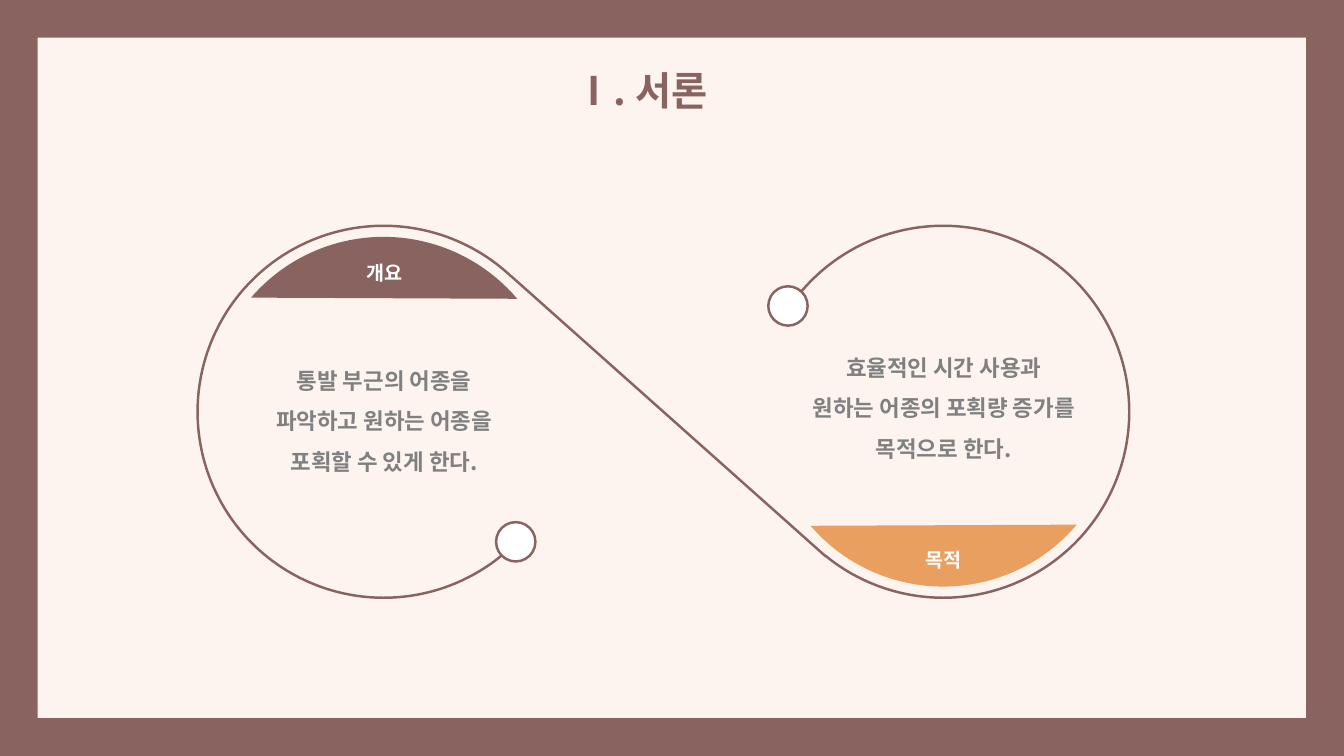
"""Build the introduction slide with its S-shaped overview and purpose diagram."""
import pptx
import pptx.dml.color
import pptx.enum.shapes
import pptx.enum.text
import pptx.oxml
import pptx.oxml.ns
import pptx.util

Inches = pptx.util.Inches
Pt = pptx.util.Pt
RGB = pptx.dml.color.RGBColor.from_string
MSO = pptx.enum.shapes.MSO_SHAPE
qn = pptx.oxml.ns.qn

THEME = {
    "font": "Noto Sans CJK KR", "line": 1.75,
    "brown": "896360", "orange": "E99F60", "cream": "FDF4EF", "white": "FFFFFF", "gray": "808080",
    "title": 28, "body": 16, "label": 14,
}


def add_shape(kind, box, fill=None, line=None, adj=(), flip=None):
    sp = s.shapes.add_shape(kind, *map(Inches, box))
    sp.shadow.inherit = False
    for i, value in enumerate(adj):
        sp.adjustments[i] = value
    for part, color in ((sp.fill, fill), (sp.line.fill, line)):
        if color:
            part.solid()
            part.fore_color.rgb = RGB(THEME[color])
        else:
            part.background()
    if line:
        sp.line.width = Pt(THEME["line"])
    if flip:
        sp._element.spPr.find(qn("a:xfrm")).set(flip, "1")


def write_text(sp, box, lines, size, color):
    for name, value in zip(("left", "top", "width", "height"), box):
        setattr(sp, name, Inches(value))
    tf = sp.text_frame
    tf.text = "\n".join(lines)
    frame_format = {
        "word_wrap": True,
        "auto_size": pptx.enum.text.MSO_AUTO_SIZE.NONE,
        "vertical_anchor": pptx.enum.text.MSO_ANCHOR.TOP,
    }
    paragraph_format = {
        "alignment": pptx.enum.text.PP_ALIGN.CENTER,
        "line_spacing": 1.5, "space_before": Pt(0), "space_after": Pt(0),
    }
    font_format = {"name": THEME["font"], "size": Pt(THEME[size]), "bold": True}
    for name, value in frame_format.items():
        setattr(tf, name, value)
    for p in tf.paragraphs:
        for name, value in paragraph_format.items():
            setattr(p, name, value)
        pPr = p._p.get_or_add_pPr()
        pPr.set("marL", "0")
        pPr.set("indent", "0")
        pPr.append(pptx.oxml.parse_xml(f"<a:buNone {pptx.oxml.ns.nsdecls('a')}/>"))
        r = p.runs[0]
        for name, value in font_format.items():
            setattr(r.font, name, value)
        r.font.color.rgb = RGB(THEME[color])
        ea = r._r.get_or_add_rPr().makeelement(qn("a:ea"), {"typeface": THEME["font"]})
        r._r.rPr.find(qn("a:latin")).addnext(ea)


prs = pptx.Presentation()
prs.slide_width, prs.slide_height = Inches(13.33), Inches(7.5)
s = prs.slides.add_slide(prs.slide_layouts[3])
s.background.fill.solid()
s.background.fill.fore_color.rgb = RGB(THEME["cream"])

add_shape(MSO.FRAME, (0, 0, 13.33, 7.5), fill="brown", adj=(0.05,))
write_text(s.shapes.title, (5.51, 0.37, 1.7, 0.72), ["Ⅰ. 서론"], "title", "brown")

for left, end, flip in ((1.96, 187.97, None), (7.51, 192.04, "flipH")):
    add_shape(MSO.ARC, (left, 2.24, 3.69, 3.69), line="brown", adj=(30.43, end), flip=flip)

link = s.shapes.add_connector(
    pptx.enum.shapes.MSO_CONNECTOR.STRAIGHT, *map(Inches, (5.07, 2.74, 8.19, 5.52)))
link.line.color.rgb = RGB(THEME["brown"])
link.line.width = Pt(THEME["line"])
link._element.spPr.append(pptx.oxml.parse_xml(f"<a:effectLst {pptx.oxml.ns.nsdecls('a')}/>"))

sections = [
    {"label": "개요", "left": 2.07, "label_top": 2.42, "fill": "brown", "flip": "flipV",
     "dot": (4.92, 5.18), "body": (2.25, 3.46),
     "lines": ["통발 부근의 어종을", "파악하고 원하는 어종을", "포획할 수 있게 한다."]},
    {"label": "목적", "left": 7.62, "label_top": 5.27, "fill": "orange", "flip": None,
     "dot": (7.62, 2.84), "body": (7.8, 3.33),
     "lines": ["효율적인 시간 사용과", "원하는 어종의 포획량 증가를", "목적으로 한다."]},
]
for idx, section in enumerate(sections, 1):
    add_shape(MSO.CHORD, (section["left"], 2.35, 3.47, 3.47), fill=section["fill"],
              adj=(24.13, 83.57), flip=section["flip"])
    label_box = (section["left"] + 1, section["label_top"], 1.48, 0.41)
    write_text(s.shapes.add_textbox(0, 0, 0, 0), label_box, [section["label"]], "label", "white")
    add_shape(MSO.OVAL, (*section["dot"], 0.39, 0.39), fill="white", line="brown")
    write_text(s.placeholders[idx], (*section["body"], 3.12, 1.26), section["lines"], "body", "gray")

prs.save("out.pptx")
